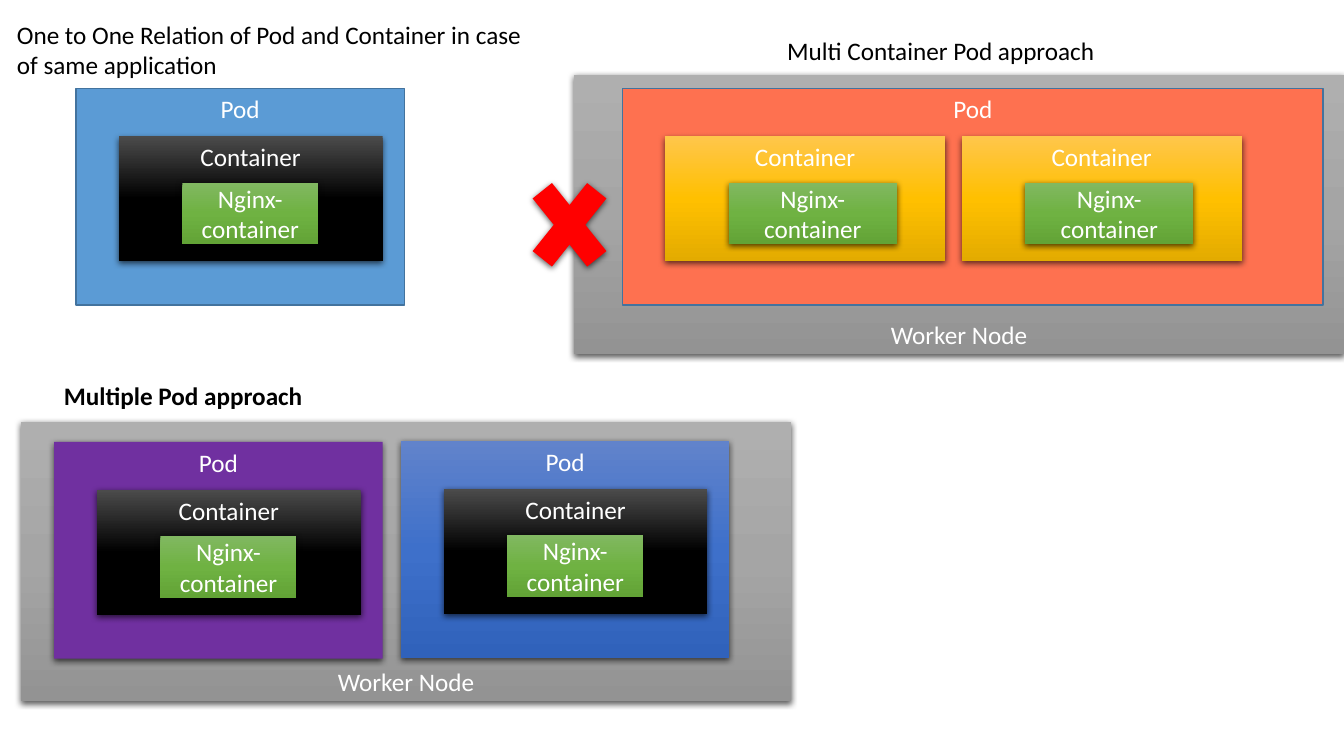
from copy import deepcopy

from lxml import etree
from pptx import Presentation
from pptx.dml.color import RGBColor
from pptx.enum.shapes import MSO_SHAPE
from pptx.enum.text import MSO_ANCHOR, MSO_AUTO_SIZE, PP_ALIGN
from pptx.oxml.ns import qn
from pptx.util import Pt

RECTANGLE = MSO_SHAPE.RECTANGLE
CROSS = MSO_SHAPE.MATH_MULTIPLY
TOP, MIDDLE, BOTTOM = MSO_ANCHOR.TOP, MSO_ANCHOR.MIDDLE, MSO_ANCHOR.BOTTOM
CENTER, LEFT = PP_ALIGN.CENTER, PP_ALIGN.LEFT
FIT_TEXT = MSO_AUTO_SIZE.SHAPE_TO_FIT_TEXT

GRAY = ("AFAFAF", "A5A5A5", "939393")
BLACK = ("4B4B4B", "000000", "000000")
GREEN = ("81B861", "6FB242", "62A336")
GOLD = ("FFC64B", "FFC000", "E3AB00")
BLUE = ("6183CB", "3E70CA", "3062BB")
OUTLINE = "43739E"


def color(value):
    return RGBColor.from_string(value)


def set_fill(shape, colors):
    if len(colors) == 1:
        shape.fill.solid()
        shape.fill.fore_color.rgb = color(colors[0])
        return
    shape.fill.gradient()
    shape.fill.gradient_angle = 270
    stop_list = shape._element.spPr.find(qn("a:gradFill")).find(qn("a:gsLst"))
    stop_list.insert(1, deepcopy(stop_list[0]))
    for index, stop in enumerate(shape.fill.gradient_stops):
        stop.position = index / 2
        stop.color.rgb = color(colors[index])


def add_shadow(shape):
    effects = shape._element.spPr.find(qn("a:effectLst"))
    shadow = etree.SubElement(
        effects, qn("a:outerShdw"), blurRad=str(Pt(4.5)), dist=str(Pt(1.5)),
        dir="5400000", algn="ctr", rotWithShape="0")
    shadow_color = etree.SubElement(shadow, qn("a:srgbClr"), val="000000")
    etree.SubElement(shadow_color, qn("a:alpha"), val="63000")


def set_text(shape, text, text_color, alignment, bold=False):
    paragraph = shape.text_frame.paragraphs[0]
    paragraph.text = text
    paragraph.alignment = alignment
    paragraph.font.name = "Calibri"
    paragraph.font.size = Pt(18)
    paragraph.font.bold = bold
    paragraph.font.color.rgb = color(text_color)


def add_block(slide, box, colors, text="", anchor=TOP, outlined=False, kind=RECTANGLE):
    shape = slide.shapes.add_shape(kind, *map(Pt, box))
    shape.shadow.inherit = False
    set_fill(shape, colors)
    if outlined:
        shape.line.color.rgb = color(OUTLINE)
        shape.line.width = Pt(1)
    else:
        shape.line.fill.background()
        add_shadow(shape)
    if text:
        shape.text_frame.word_wrap = True
        shape.text_frame.vertical_anchor = anchor
        set_text(shape, text, "FFFFFF", CENTER)


def add_worker_node(slide, left, top):
    add_block(slide, (left, top, 550, 199.5), GRAY, "Worker Node", BOTTOM)


def add_container(slide, left, top, width, colors, application_width):
    add_block(slide, (left, top, width, 89.3), colors, "Container")
    add_block(slide, (left + 45.5, top + 33, application_width, 44), GREEN,
              "Nginx- container", MIDDLE)


def add_pod(slide, left, top, colors, outlined=False):
    add_block(slide, (left, top, 234.7, 154.8), colors, "Pod", outlined=outlined)
    add_container(slide, left + 30.5, top + 34.3, 188.6, BLACK, 97.2)


def add_shared_pod(slide, left, top):
    add_block(slide, (left, top, 500.4, 154.8), ("FE7150",), "Pod", outlined=True)
    for index in range(2):
        add_container(slide, left + 30.3 + index * 211.8, top + 34.3, 200.2, GOLD, 120.2)


def add_heading(slide, box, text, wrap=False, bold=False):
    heading = slide.shapes.add_textbox(*map(Pt, box))
    heading.text_frame.word_wrap = wrap
    heading.text_frame.auto_size = FIT_TEXT
    set_text(heading, text, "000000", LEFT, bold)


def main():
    presentation = Presentation()
    presentation.slide_width = Pt(960)
    presentation.slide_height = Pt(540)
    slide = presentation.slides.add_slide(presentation.slide_layouts[6])

    add_worker_node(slide, 410, 53.5)
    add_worker_node(slide, 15, 301.5)

    add_heading(slide, (5, 10.2, 378.7, 50.9),
                "One to One Relation of Pod and Container in case of same application",
                wrap=True)
    add_pod(slide, 54.2, 63.2, ("5B9BD5",), outlined=True)

    add_heading(slide, (555.2, 21.8, 236.9, 29.1), "Multi Container Pod approach")
    add_shared_pod(slide, 444.7, 63.2)
    add_block(slide, (369.4, 113.8, 74.9, 93.6), ("FF0000",), kind=CROSS)

    add_heading(slide, (38.6, 268.2, 186.5, 29.1), "Multiple Pod approach", bold=True)
    add_pod(slide, 38.6, 315.7, ("7030A0",))
    add_pod(slide, 286.3, 315, BLUE)

    presentation.save("out.pptx")


if __name__ == "__main__":
    main()
